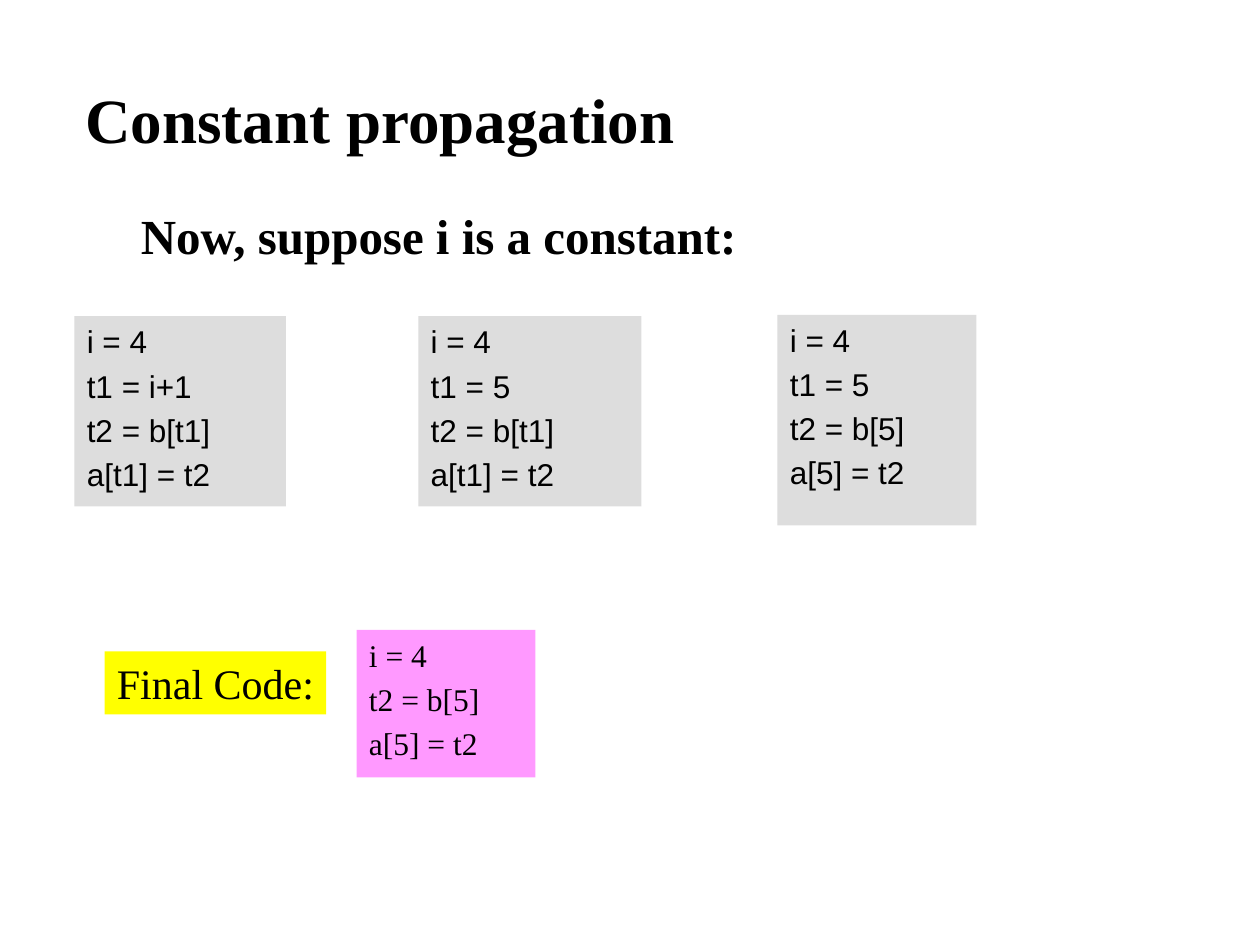
from pptx import Presentation
from pptx.dml.color import RGBColor
from pptx.enum.text import MSO_ANCHOR
from pptx.util import Inches, Pt

MIDDLE, TOP = MSO_ANCHOR.MIDDLE, MSO_ANCHOR.TOP
BLACK = RGBColor(0x00, 0x00, 0x00)
GRAY = RGBColor(0xDD, 0xDD, 0xDD)
PINK = RGBColor(0xFF, 0x99, 0xFF)
YELLOW = RGBColor(0xFF, 0xFF, 0x00)
SANS, SERIF = "Arial", "Times New Roman"

STEPS = [
    ((0.59, 2.51, 1.68, 1.51), ["i = 4", "t1 = i+1", "t2 = b[t1]", "a[t1] = t2"]),
    ((3.32, 2.51, 1.77, 1.51), ["i = 4", "t1 = 5", "t2 = b[t1]", "a[t1] = t2"]),
    ((6.17, 2.5, 1.58, 1.67), ["i = 4", "t1 = 5", "t2 = b[5]", "a[5] = t2"]),
]
FINAL_CODE = ["i = 4", "t2 = b[5]", "a[5] = t2"]


def add_text(s, box, lines, size, font=SERIF, bold=False, fill=None,
             anchor=MIDDLE, gap=0):
    sp = s.shapes.add_textbox(*map(Inches, box))
    if fill is not None:
        sp.fill.solid()
        sp.fill.fore_color.rgb = fill
    tf = sp.text_frame
    tf.word_wrap = True
    tf.margin_right = 0  # the labels fill their boxes, so leave them room
    tf.vertical_anchor = anchor
    for i, line in enumerate(lines):
        p = tf.paragraphs[0] if i == 0 else tf.add_paragraph()
        p.space_before = Pt(gap if i else 0)
        r = p.add_run()
        r.text = line
        r.font.name, r.font.size, r.font.bold = font, Pt(size), bold
        r.font.color.rgb = BLACK


def add_code(s, box, lines, font=SANS, fill=GRAY):
    add_text(s, box, lines, 18, font=font, fill=fill, anchor=TOP, gap=3.6)


def add_heading(s):
    add_text(s, (0.58, 0.58, 4.92, 0.71), ["Constant propagation"], 36, bold=True)
    add_text(s, (1.02, 1.58, 4.96, 0.57), ["Now, suppose i is a constant:"], 28, bold=True)


def add_result(s):
    add_text(s, (0.83, 5.17, 1.76, 0.5), ["Final Code:"], 24, fill=YELLOW)
    add_code(s, (2.83, 5, 1.42, 1.17), FINAL_CODE, font=SERIF, fill=PINK)


def main():
    prs = Presentation()
    prs.slide_width, prs.slide_height = Inches(10), Inches(7.5)
    s = prs.slides.add_slide(prs.slide_layouts[6])
    add_heading(s)
    for box, lines in STEPS:
        add_code(s, box, lines)
    add_result(s)
    prs.save("out.pptx")


if __name__ == "__main__":
    main()
